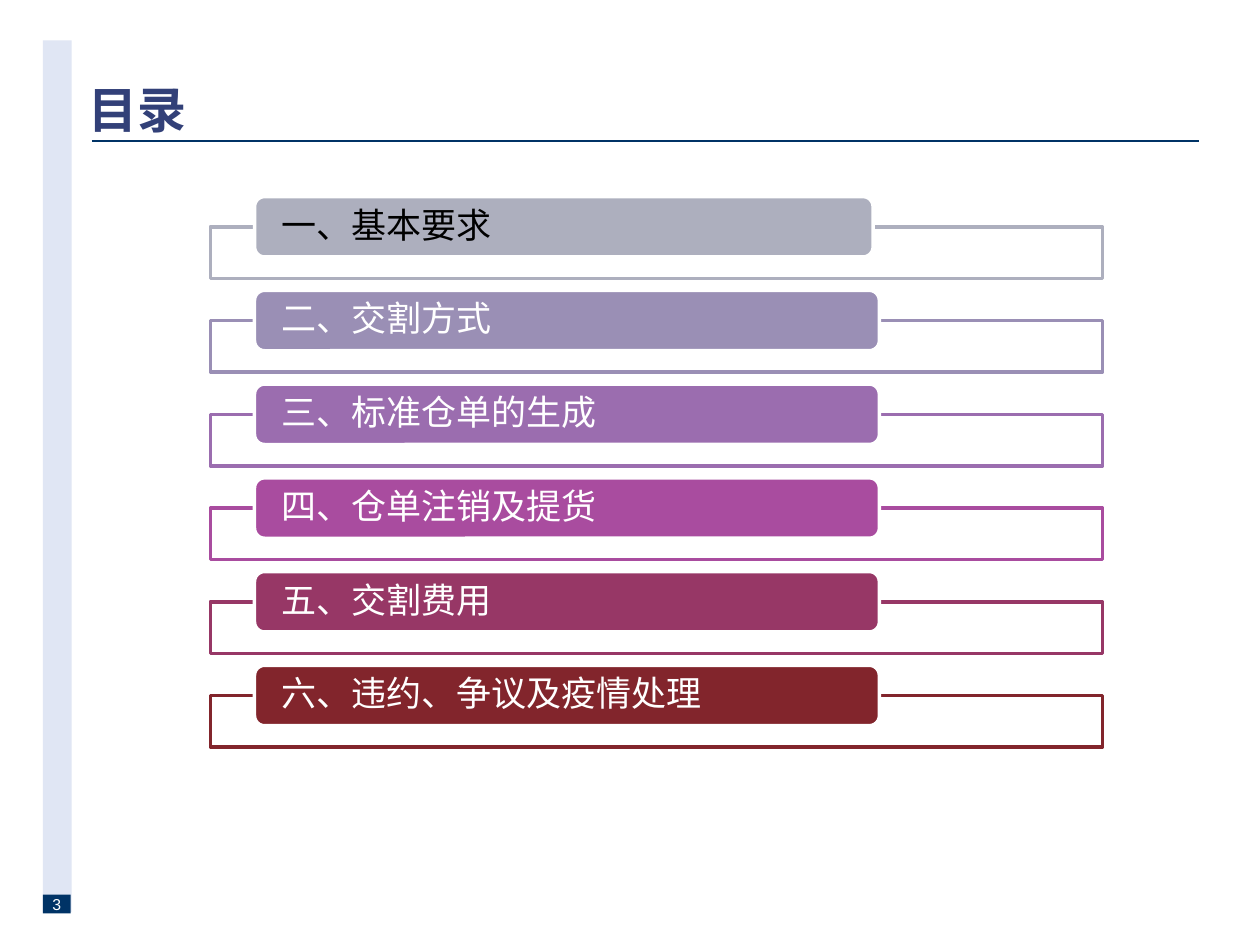
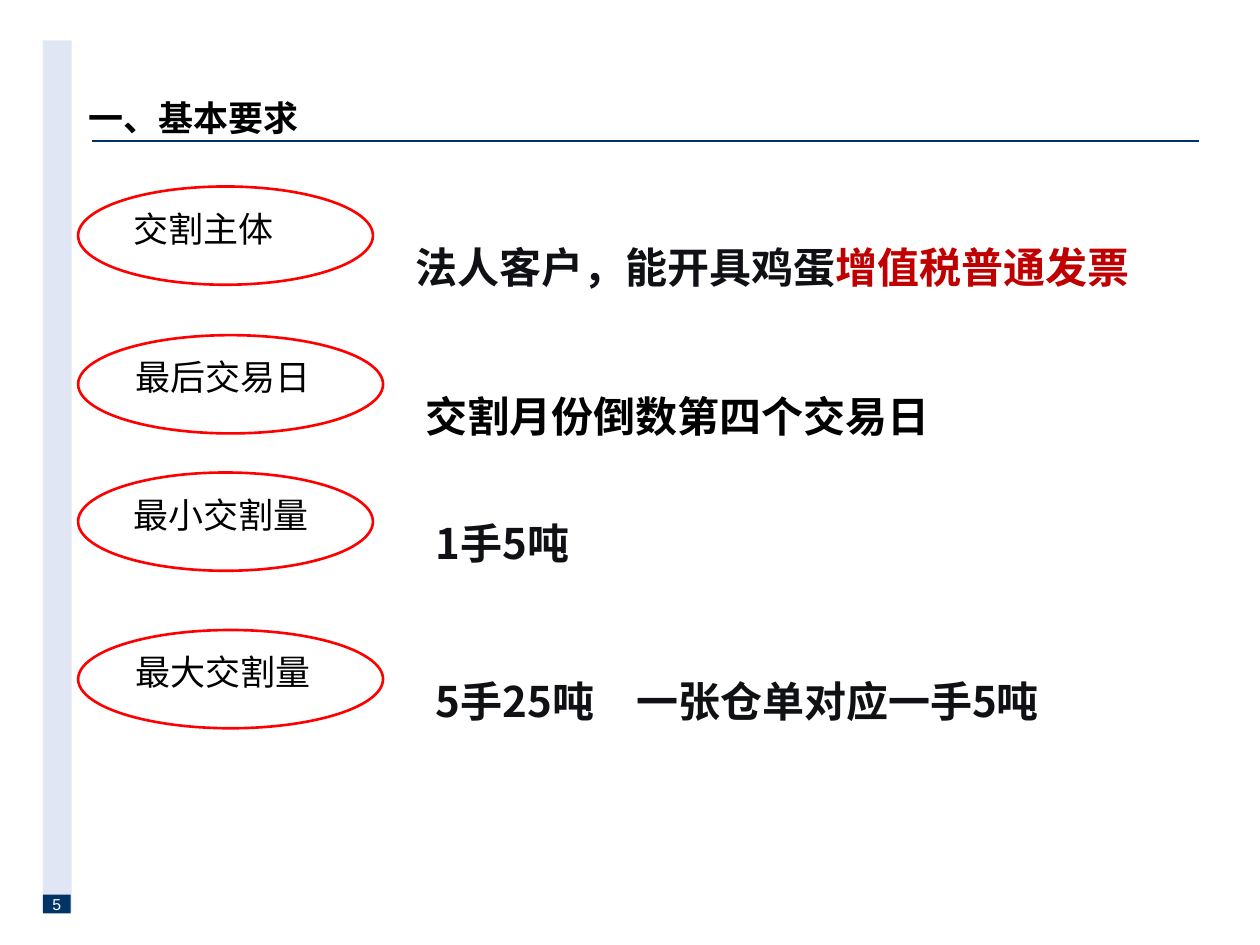
import pptx
import pptx.dml.color
import pptx.enum.shapes
import pptx.enum.text
import pptx.oxml.ns
import lxml.etree
from pptx.util import Inches, Pt

CJK, LATIN = "Noto Sans CJK SC", "Arial"
WHITE, BLACK, NAVY, BAND = "FFFFFF", "000000", "003366", "E0E6F4"
INK, ACCENT, RING = "101114", "C00000", "FF0000"
SHAPE = pptx.enum.shapes.MSO_SHAPE
ALIGN = pptx.enum.text.PP_ALIGN
ANCHOR = pptx.enum.text.MSO_ANCHOR

# label, colour, text colour, pill width
CONTENTS = [
    ("一、基本要求", "ADAFBE", BLACK, 4.91),
    ("二、交割方式", "9A8FB5", WHITE, 4.96),
    ("三、标准仓单的生成", "9B6DAF", WHITE, 4.96),
    ("四、仓单注销及提货", "A94C9F", WHITE, 4.96),
    ("五、交割费用", "973766", WHITE, 4.96),
    ("六、违约、争议及疫情处理", "82252C", WHITE, 4.96),
]
PILL_TOP, PILL_STEP, PILL_HEIGHT = 1.56, 0.744, 0.48

# label, ellipse (top, width), answer (left, top, width), answer runs
REQUIREMENTS = [
    ("交割主体", (1.48, 2.34), (3.2, 1.87, 5.95),
     [("法人客户，能开具鸡蛋", INK), ("增值税普通发票", ACCENT)]),
    ("最后交易日", (2.66, 2.42), (3.28, 3.05, 5.94),
     [("交割月份倒数第四个交易日", BLACK)]),
    ("最小交割量", (3.75, 2.34), (3.36, 4.06, 1.73), [("1手5吨", INK)]),
    ("最大交割量", (5, 2.42), (3.36, 5.31, 5.28),
     [("5手25吨　一张仓单对应一手5吨", INK)]),
]


def rgb(value):
    return pptx.dml.color.RGBColor.from_string(value)


def box(values):
    return [Inches(v) for v in values]


def add_shape(slide, kind, at, fill=None, line=None, width=0):
    sp = slide.shapes.add_shape(kind, *box(at))
    sp.shadow.inherit = False
    if fill:
        sp.fill.solid()
        sp.fill.fore_color.rgb = rgb(fill)
    else:
        sp.fill.background()
    if line:
        sp.line.color.rgb = rgb(line)
        sp.line.width = Pt(width)
    else:
        sp.line.fill.background()
    return sp


def write(sp, runs, size, font=CJK, bold=False, align=ALIGN.LEFT,
          anchor=ANCHOR.TOP, insets=None):
    """Fill the shape with one paragraph of (text, colour) runs."""
    tf = sp.text_frame
    tf.word_wrap = True
    tf.auto_size = pptx.enum.text.MSO_AUTO_SIZE.NONE
    tf.vertical_anchor = anchor
    if insets:
        tf.margin_left, tf.margin_top, tf.margin_right, tf.margin_bottom = box(insets)
    p = tf.paragraphs[0]
    p.alignment = align
    for text, color in runs:
        r = p.add_run()
        r.text = text
        r.font.size, r.font.bold, r.font.name = Pt(size), bold, font
        r.font.color.rgb = rgb(color)
        ea = lxml.etree.SubElement(r.font._element, pptx.oxml.ns.qn("a:ea"))
        ea.set("typeface", CJK)
    return p


def add_slide(prs, title, number, size, color, font):
    """Add a slide with its title, rule, side band and page number."""
    slide = prs.slides.add_slide(prs.slide_layouts[5])
    rule = slide.shapes.add_connector(
        pptx.enum.shapes.MSO_CONNECTOR.STRAIGHT, *box((0.73, 1.12, 9.52, 1.12)))
    rule.line.color.rgb = rgb(NAVY)
    rule.line.width = Pt(1.5)
    lxml.etree.SubElement(rule._element.spPr, pptx.oxml.ns.qn("a:effectLst"))
    add_shape(slide, SHAPE.RECTANGLE, (0.34, 0.32, 0.23, 6.92), BAND)
    page = add_shape(slide, SHAPE.RECTANGLE, (0.34, 7.1, 0.22, 0.15), NAVY)
    write(page, [(number, WHITE)], 9, LATIN, align=ALIGN.CENTER,
          anchor=ANCHOR.BOTTOM, insets=(0, 0, 0, 0))
    sp = slide.shapes.title
    sp.left, sp.top, sp.width, sp.height = box((0.7, 0.15, 8.84, 0.95))
    p = write(sp, [(title, color)], size, font, bold=True,
              anchor=ANCHOR.BOTTOM, insets=(0, 0, 0, 0))
    p.line_spacing = Pt(24.5)
    return slide


def build_contents(prs):
    slide = add_slide(prs, "目录", "3", 28, "324078", LATIN)
    for i, (label, color, text_color, width) in enumerate(CONTENTS):
        top = PILL_TOP + i * PILL_STEP
        add_shape(slide, SHAPE.RECTANGLE, (1.67, top + PILL_HEIGHT / 2, 7.08, 0.41),
                  WHITE, color, 2)
        pill = add_shape(slide, SHAPE.ROUNDED_RECTANGLE,
                         (2.02, top, width, PILL_HEIGHT), color, WHITE, 2)
        p = write(pill, [(label, text_color)], 20, anchor=ANCHOR.MIDDLE,
                  insets=(0.19, 0, 0.19, 0))
        p.line_spacing = 0.9


def build_requirements(prs):
    slide = add_slide(prs, "一、基本要求", "5", 20, BLACK, CJK)
    for label, (top, width), (left, answer_top, answer_width), runs in REQUIREMENTS:
        ring = add_shape(slide, SHAPE.OVAL, (0.62, top, width, 0.78), line=RING, width=1.5)
        write(ring, [(label, BLACK)], 20, LATIN)
        answer = slide.shapes.add_textbox(*box((left, answer_top, answer_width, 0.5)))
        p = write(answer, runs, 24, bold=True)
        p.space_before = Pt(6)


def main():
    prs = pptx.Presentation()
    prs.slide_width, prs.slide_height = box((10, 7.5))
    build_contents(prs)
    build_requirements(prs)
    prs.save("out.pptx")


if __name__ == "__main__":
    main()
